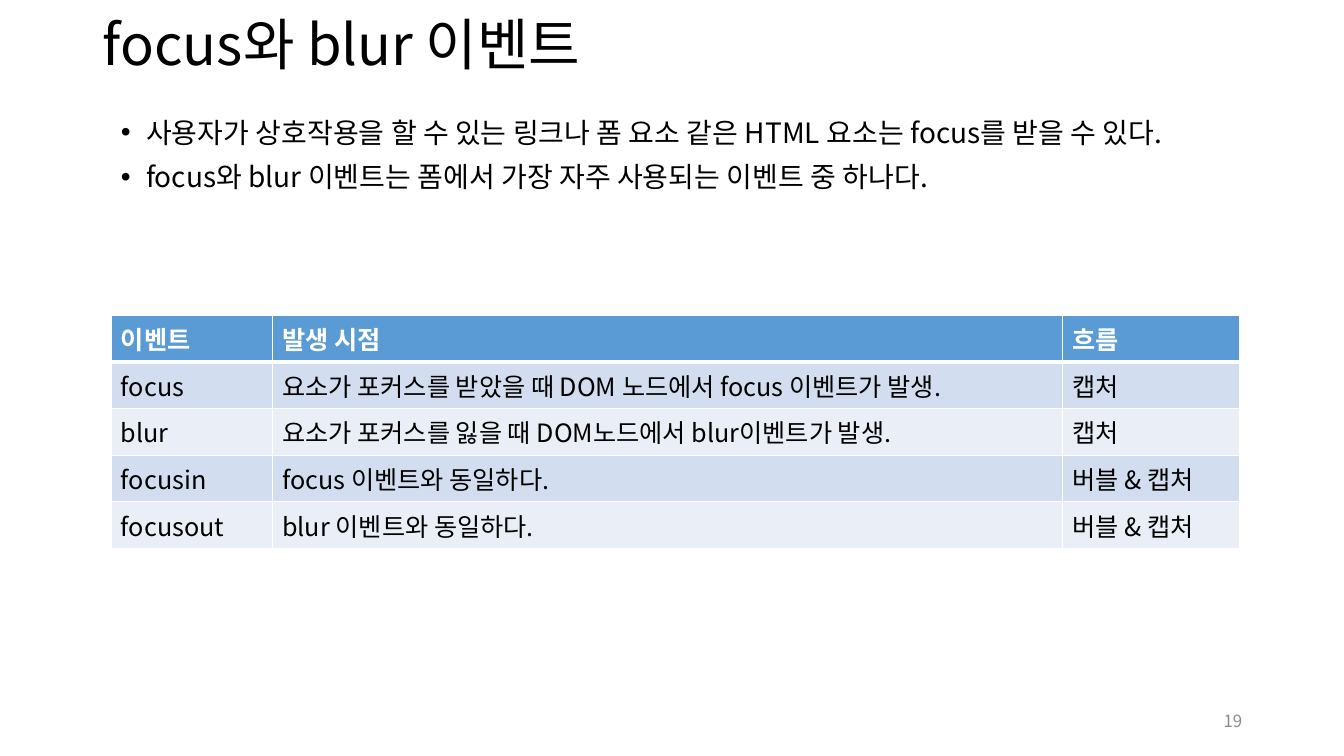
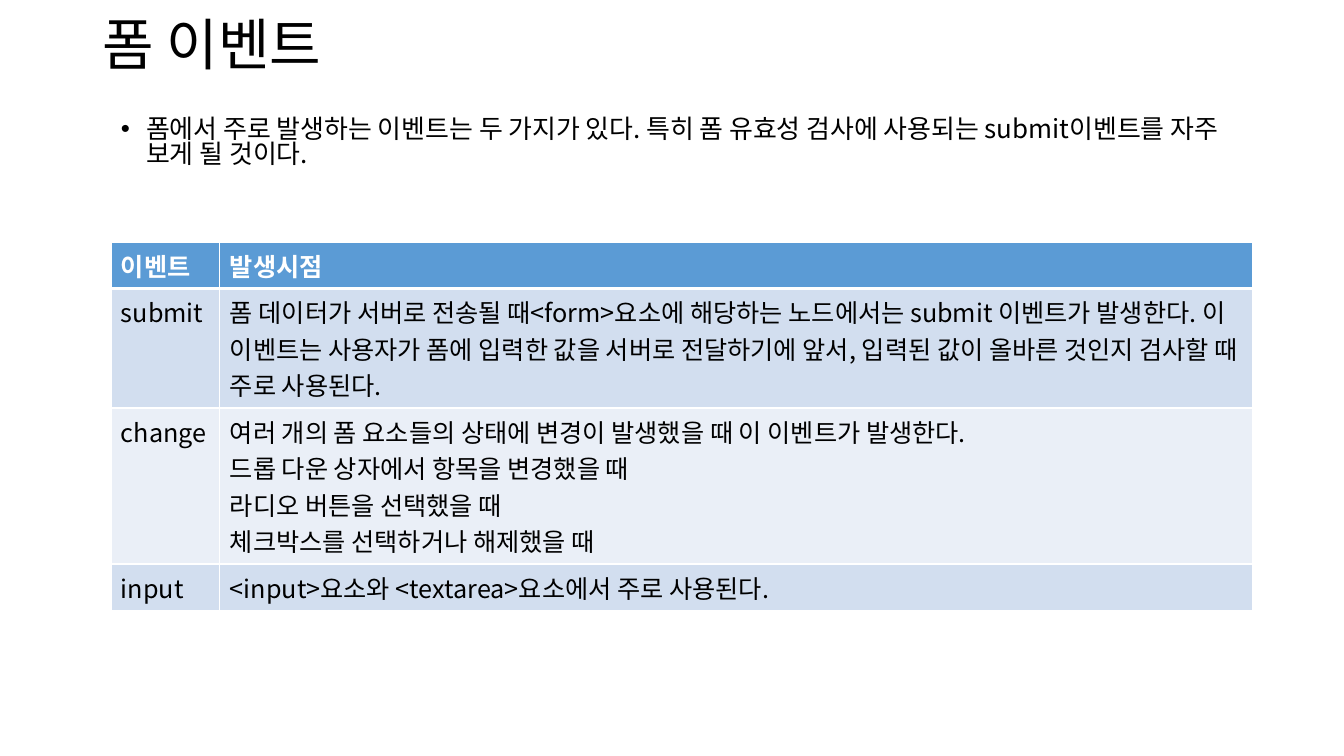
from dataclasses import dataclass

from lxml import etree
from pptx import Presentation
from pptx import util as u
from pptx.dml.color import RGBColor
from pptx.enum import text as t
from pptx.oxml import ns

FONT = "Noto Sans CJK KR"
HUES = {
    "ink": "000000",
    "white": "FFFFFF",
    "head": "5B9BD5",
    "odd": "D2DEEF",
    "even": "EAEFF7",
    "page": "8C8C8C",
}
LEFT = 1.1
ROW = 0.41


@dataclass
class Body:
    lines: list[str]
    width: float
    height: float
    size: float
    space: float


@dataclass
class Grid:
    top: float
    cols: list[float]
    rows: list[list[str]]


@dataclass
class Page:
    title: str
    body: Body
    grid: Grid
    number: str = ""


PAGES = [
    Page(
        "focus와 blur 이벤트",
        Body(
            [
                "사용자가 상호작용을 할 수 있는 링크나 폼 요소 같은 HTML 요소는 focus를 받을 수 있다.",
                "focus와 blur 이벤트는 폼에서 가장 자주 사용되는 이벤트 중 하나다.",
            ],
            11.65, 1.45, 20, 0.9,
        ),
        Grid(
            3.13,
            [1.6, 7.84, 1.75],
            [
                ["이벤트", "발생 시점", "흐름"],
                ["focus", "요소가 포커스를 받았을 때 DOM 노드에서 focus 이벤트가 발생.", "캡처"],
                ["blur", "요소가 포커스를 잃을 때 DOM노드에서 blur이벤트가 발생.", "캡처"],
                ["focusin", "focus 이벤트와 동일하다.", "버블 & 캡처"],
                ["focusout", "blur 이벤트와 동일하다.", "버블 & 캡처"],
            ],
        ),
        "19",
    ),
    Page(
        "폼 이벤트",
        Body(
            [
                "폼에서 주로 발생하는 이벤트는 두 가지가 있다. 특히 폼 유효성 검사에 "
                "사용되는 submit이벤트를 자주 보게 될 것이다.",
            ],
            11.5, 0.62, 18.5, 0.8,
        ),
        Grid(
            2.4,
            [1.08, 10.24],
            [
                ["이벤트", "발생시점"],
                [
                    "submit",
                    "폼 데이터가 서버로 전송될 때<form>요소에 해당하는 노드에서는 submit 이벤트가 "
                    "발생한다. 이 이벤트는 사용자가 폼에 입력한 값을 서버로 전달하기에 앞서, "
                    "입력된 값이 올바른 것인지 검사할 때 주로 사용된다.",
                ],
                [
                    "change",
                    "여러 개의 폼 요소들의 상태에 변경이 발생했을 때 이 이벤트가 발생한다.\n"
                    "드롭 다운 상자에서 항목을 변경했을 때\n"
                    "라디오 버튼을 선택했을 때\n"
                    "체크박스를 선택하거나 해제했을 때",
                ],
                ["input", "<input>요소와 <textarea>요소에서 주로 사용된다."],
            ],
        ),
    ),
]


def hue(name: str) -> RGBColor:
    return RGBColor.from_string(HUES[name])


def place(shape, left: float, top: float, width: float, height: float) -> None:
    shape.left, shape.top = u.Inches(left), u.Inches(top)
    shape.width, shape.height = u.Inches(width), u.Inches(height)


def write(frame, lines: list[str], size: float, ink: str = "ink", bold: bool = False) -> list:
    """Fill a text frame, one paragraph a line, and return the paragraphs."""
    for i, line in enumerate(lines):
        para = frame.add_paragraph() if i else frame.paragraphs[0]
        run = para.add_run()
        run.text = line
        font = run.font
        font.name, font.size, font.bold = FONT, u.Pt(size), bold
        font.color.rgb = hue(ink)
        east = etree.SubElement(font._element, ns.qn("a:ea"))
        east.set("typeface", FONT)
    return list(frame.paragraphs)


def add_title(slide, words: str) -> None:
    shape = slide.shapes.title
    place(shape, 0.92, 0, 11.5, 0.95)
    frame = shape.text_frame
    frame.auto_size = t.MSO_AUTO_SIZE.NONE
    frame.vertical_anchor = t.MSO_ANCHOR.MIDDLE
    for para in write(frame, [words], 40):
        para.alignment = t.PP_ALIGN.LEFT
        para.line_spacing = 0.9


def add_body(slide, body: Body) -> None:
    shape = slide.placeholders[1]
    place(shape, LEFT, 1.13, body.width, body.height)
    frame = shape.text_frame
    frame.auto_size = t.MSO_AUTO_SIZE.NONE
    for para in write(frame, body.lines, body.size):
        para.line_spacing = body.space
        para.space_before = u.Pt(10)
        # Hanging bullet
        props = para._p.get_or_add_pPr()
        props.set("marL", str(u.Inches(0.25)))
        props.set("indent", str(-u.Inches(0.25)))
        face = etree.SubElement(props, ns.qn("a:buFont"))
        face.set("typeface", "Arial")
        etree.SubElement(props, ns.qn("a:buChar")).set("char", "•")


def edge(cell, side: str, width: float) -> None:
    props = cell._tc.get_or_add_tcPr()
    line = etree.SubElement(props, ns.qn(f"a:ln{side}"), w=str(u.Pt(width)))
    fill = etree.SubElement(line, ns.qn("a:solidFill"))
    etree.SubElement(fill, ns.qn("a:srgbClr"), val=HUES["white"])


def add_grid(slide, grid: Grid) -> None:
    count = len(grid.rows)
    table = slide.shapes.add_table(
        count, len(grid.cols), u.Inches(LEFT), u.Inches(grid.top),
        u.Inches(sum(grid.cols)), u.Inches(ROW * count),
    ).table
    table.horz_banding = False
    for col, width in zip(table.columns, grid.cols):
        col.width = u.Inches(width)
    for i, words in enumerate(grid.rows):
        table.rows[i].height = u.Inches(ROW)
        tint = "head" if i == 0 else "odd" if i % 2 else "even"
        # A thick rule parts the header from the rows below
        rules = {"L": 1, "R": 1, "T": 3 if i == 1 else 1, "B": 1 if i else 3}
        for j, word in enumerate(words):
            cell = table.cell(i, j)
            for side, width in rules.items():
                edge(cell, side, width)
            cell.fill.solid()
            cell.fill.fore_color.rgb = hue(tint)
            write(cell.text_frame, word.split("\n"), 18, "ink" if i else "white", i == 0)


def add_number(slide, number: str) -> None:
    box = slide.shapes.add_textbox(
        u.Inches(9.42), u.Inches(6.95), u.Inches(3), u.Inches(0.4))
    frame = box.text_frame
    frame.word_wrap = True
    frame.vertical_anchor = t.MSO_ANCHOR.MIDDLE
    write(frame, [number], 12, "page")[0].alignment = t.PP_ALIGN.RIGHT


def main() -> None:
    deck = Presentation()
    deck.slide_width, deck.slide_height = u.Inches(13.33), u.Inches(7.5)
    for page in PAGES:
        slide = deck.slides.add_slide(deck.slide_layouts[1])
        add_title(slide, page.title)
        add_body(slide, page.body)
        add_grid(slide, page.grid)
        if page.number:
            add_number(slide, page.number)
    deck.save("out.pptx")


if __name__ == "__main__":
    main()
